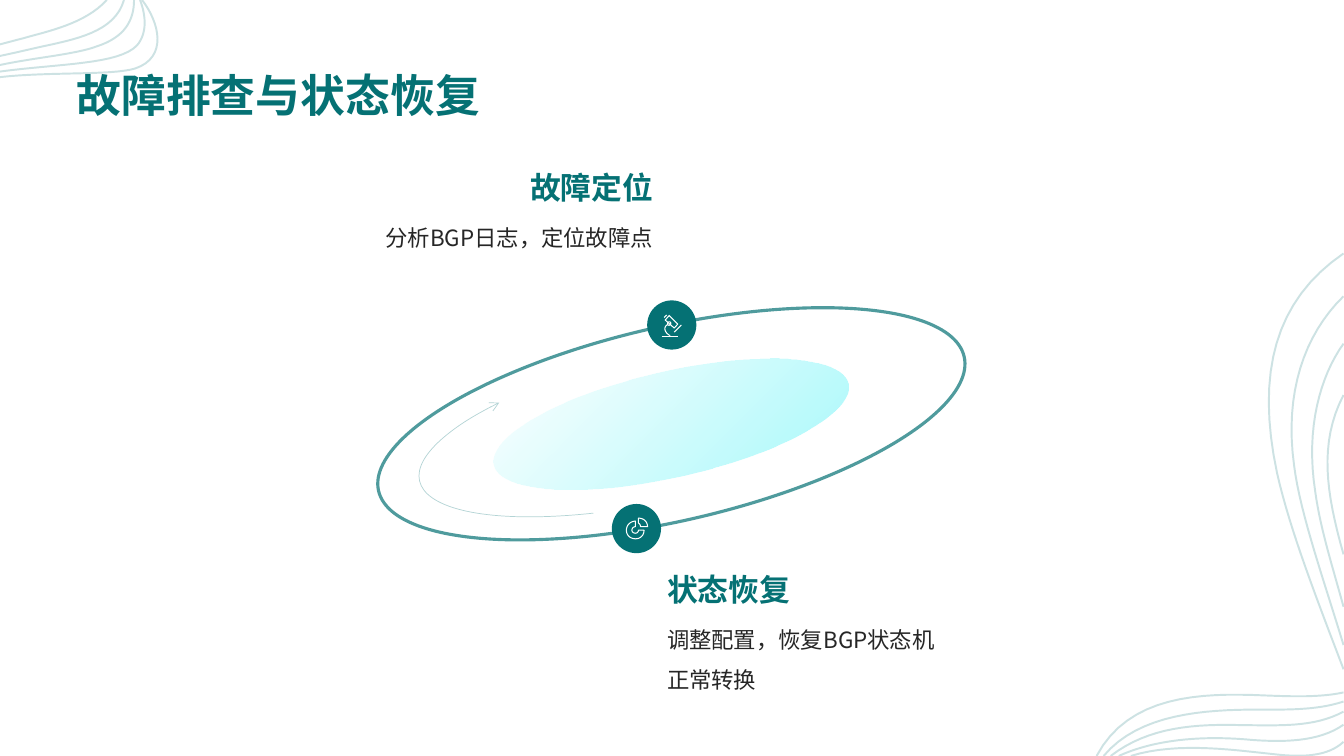
from lxml import etree
from pptx import Presentation
from pptx.dml.color import RGBColor
from pptx.enum.shapes import MSO_SHAPE
from pptx.enum.text import MSO_ANCHOR, MSO_AUTO_SIZE, PP_ALIGN
from pptx.oxml import parse_xml
from pptx.oxml.ns import nsdecls, qn
from pptx.util import Cm, Pt

TEAL = RGBColor(0x05, 0x71, 0x74)
WHITE = RGBColor(0xFF, 0xFF, 0xFF)
DARK = RGBColor(0x26, 0x26, 0x26)
FONT = "Noto Sans CJK SC"
OVAL, ARC = MSO_SHAPE.OVAL, MSO_SHAPE.ARC
LEFT, RIGHT = PP_ALIGN.LEFT, PP_ALIGN.RIGHT
TOP, BOTTOM = MSO_ANCHOR.TOP, MSO_ANCHOR.BOTTOM
UNIT = 0.0254  # cm per drawing unit of the curves
STEPS = 16  # straight pieces per curve
TILT = 347.1

deck = Presentation()
deck.slide_width, deck.slide_height = Cm(33.87), Cm(19.05)
slide = deck.slides.add_slide(deck.slide_layouts[5])
shapes = slide.shapes


def write(frame, text, size=16, color=DARK, bold=False, align=LEFT,
          anchor=TOP, gap=1.0):
    frame.word_wrap = True
    frame.auto_size = MSO_AUTO_SIZE.NONE
    frame.vertical_anchor = anchor
    frame.margin_left = frame.margin_right = 0
    frame.margin_top = frame.margin_bottom = 0
    para = frame.paragraphs[0]
    para.alignment, para.line_spacing = align, gap
    run = para.add_run()
    run.text = text
    font = run.font
    font.size, font.bold, font.name = Pt(size), bold, FONT
    font.color.rgb = color
    etree.SubElement(font._element, qn("a:ea")).set("typeface", FONT)


def trace(strokes, color, width):
    """Each stroke is a start point, then lines (2 numbers) or curves (6)."""
    pen = None
    for start, *parts in strokes:
        x, y = start
        dots = [start]
        for part in parts:
            if len(part) == 2:
                dots.append(part)
            else:
                a, b, c, d, e, f = part
                for i in range(1, STEPS + 1):
                    t = i / STEPS
                    u = 1 - t
                    k = u**3, 3 * u * u * t, 3 * u * t * t, t**3
                    dots.append((k[0] * x + k[1] * a + k[2] * c + k[3] * e,
                                 k[0] * y + k[1] * b + k[2] * d + k[3] * f))
            x, y = part[-2:]
        dots = [(Cm(p * UNIT), Cm(q * UNIT)) for p, q in dots]
        if pen is None:
            pen = shapes.build_freeform(*dots[0])
        else:
            pen.move_to(*dots[0])
        pen.add_line_segments(dots[1:], close=False)
    form = pen.convert_to_shape()
    form.shadow.inherit = False
    form.fill.background()
    form.line.color.rgb, form.line.width = color, Pt(width)
    return form


# Corner waves
crest = trace([
    [(0, 44), (8, 42, 15, 40, 23, 38), (47, 31, 84, 24, 106, 0)],
    [(141, 0), (158, 22, 167, 57, 134, 68), (110, 75, 50, 71, 0, 76.5)],
    [(139, 0), (145, 16, 146, 33, 136, 45), (118, 64, 60, 63, 0, 71)],
    [(133, 0), (133, 20, 124, 37, 96, 46), (75, 54, 35, 57, 0, 64.5)],
    [(123, 0), (114, 32, 75, 39, 38, 47), (25, 50, 12, 53, 0, 55.5)],
], TEAL, 1.4)
swell = trace([
    [(1333, 392), (1308, 440, 1316, 490, 1333, 550)],
    [(1333, 341), (1310, 373, 1295, 425, 1305, 488),
     (1310, 525, 1323, 565, 1333, 602)],
    [(1333, 294), (1294, 332, 1274, 390, 1284, 462),
     (1290, 510, 1315, 580, 1333, 640)],
    [(1333, 251.5), (1265, 298, 1246, 370, 1267, 469),
     (1280, 527, 1308, 598, 1333, 664)],
    [(1333, 687), (1310, 692, 1283, 691, 1255, 690),
     (1190, 687, 1120, 690, 1088, 750)],
    [(1333, 696), (1306, 705, 1275, 704, 1249, 704),
     (1195, 704, 1130, 708, 1095, 750)],
    [(1333, 706), (1304, 722, 1268, 719.5, 1235, 719.5),
     (1185, 718, 1140, 721, 1102, 750)],
    [(1333, 719), (1309, 736, 1273, 737, 1235, 733.5),
     (1190, 730, 1145, 734, 1110, 750)],
    [(1333, 736), (1318, 750, 1295, 751, 1271, 749),
     (1230, 745, 1170, 735, 1122, 750)],
], TEAL, 1.4)

# Title
title = shapes.title
title.left, title.top = Cm(1.93), Cm(1.09)
title.width, title.height = Cm(30), Cm(1.96)
write(title.text_frame, "故障排查与状态恢复", size=32, color=TEAL, bold=True,
      anchor=BOTTOM)

# Glowing core, orbit and direction arrow
core = shapes.add_shape(OVAL, Cm(12.34), Cm(9.35), Cm(9.14), Cm(2.67))
orbit = shapes.add_shape(OVAL, Cm(9.35), Cm(8.23), Cm(15.14), Cm(4.9))
arrow = shapes.add_shape(ARC, Cm(10.41), Cm(8.76), Cm(13.03), Cm(3.81))
for ring in (core, orbit, arrow):
    ring.rotation = TILT
    ring.shadow.inherit = False
    ring.fill.background()
core.line.fill.background()
core.fill.gradient()
glow = parse_xml(
    f'<a:gradFill {nsdecls("a")} rotWithShape="1"><a:gsLst>'
    '<a:gs pos="0"><a:srgbClr val="1FF0F5"><a:alpha val="40000"/></a:srgbClr></a:gs>'
    '<a:gs pos="100000"><a:srgbClr val="1FF0F5"><a:alpha val="0"/></a:srgbClr></a:gs>'
    '</a:gsLst><a:path path="circle"><a:fillToRect l="100000" t="100000"/></a:path>'
    '</a:gradFill>')
props = core.element.spPr
props.replace(props.find(qn("a:gradFill")), glow)
arrow.adjustments[0], arrow.adjustments[1] = 86.34, 119.84

# Line strength
for form, width, alpha in ((crest, 1.4, 20), (swell, 1.4, 20),
                           (orbit, 2.25, 70), (arrow, 0.5, 30)):
    form.line.color.rgb, form.line.width = TEAL, Pt(width)
    tint = form.element.spPr.find(qn("a:ln")).find(".//" + qn("a:srgbClr"))
    etree.SubElement(tint, qn("a:alpha")).set("val", str(alpha * 1000))
tip = etree.SubElement(arrow.element.spPr.find(qn("a:ln")), qn("a:tailEnd"))
tip.set("type", "arrow")

# Badges on the orbit
for left, top in ((15.42, 12.7), (16.31, 7.57)):
    badge = shapes.add_shape(OVAL, Cm(left), Cm(top), Cm(1.24), Cm(1.24))
    badge.shadow.inherit = False
    badge.fill.solid()
    badge.fill.fore_color.rgb = TEAL
    badge.line.fill.background()

# Microscope icon
trace([
    [(656.5, 333.5), (673, 333.5)],
    [(665, 333), (659, 330, 658, 324, 662.5, 322)],
    [(660, 317.5), (664, 313), (672.5, 321.5), (669, 325.5), (660, 317.5)],
    [(662.5, 321), (662.5, 318.5, 666, 319, 665.5, 321),
     (665, 323.5, 662, 323, 662.5, 321)],
    [(669, 329.5), (676, 322.5)],
    [(659, 315), (661.5, 312.5)],
], WHITE, 0.75)
# Pie icon
trace([
    [(630.5, 517), (625.5, 517, 621.5, 521, 621.5, 526),
     (621.5, 531, 625.5, 534.5, 630.5, 534.5),
     (635.5, 534.5, 639, 531, 639, 526), (633.5, 526),
     (633.5, 527.5, 632, 529, 630.5, 529),
     (628.5, 529, 627, 527.5, 627, 526),
     (627, 524, 628.5, 522.5, 630.5, 522.5), (630.5, 517)],
    [(633.5, 514), (638.5, 514, 642.5, 517.5, 642.5, 522.5), (635.5, 522.5),
     (635.5, 520.5, 634.5, 519.5, 633.5, 519), (633.5, 514)],
], WHITE, 0.75)

# Captions
for left, top, align, head, body in (
        (9.4, 4.06, RIGHT, "故障定位", "分析BGP日志，定位故障点"),
        (16.81, 14.2, LEFT, "状态恢复", "调整配置，恢复BGP状态机正常转换")):
    box = shapes.add_textbox(Cm(left), Cm(top), Cm(7.06), Cm(1.12))
    write(box.text_frame, head, size=22, color=TEAL, bold=True, align=align,
          anchor=BOTTOM)
    box = shapes.add_textbox(Cm(left), Cm(top + 1.24), Cm(7.06), Cm(2.11))
    write(box.text_frame, body, align=align, gap=1.5)

deck.save("out.pptx")
